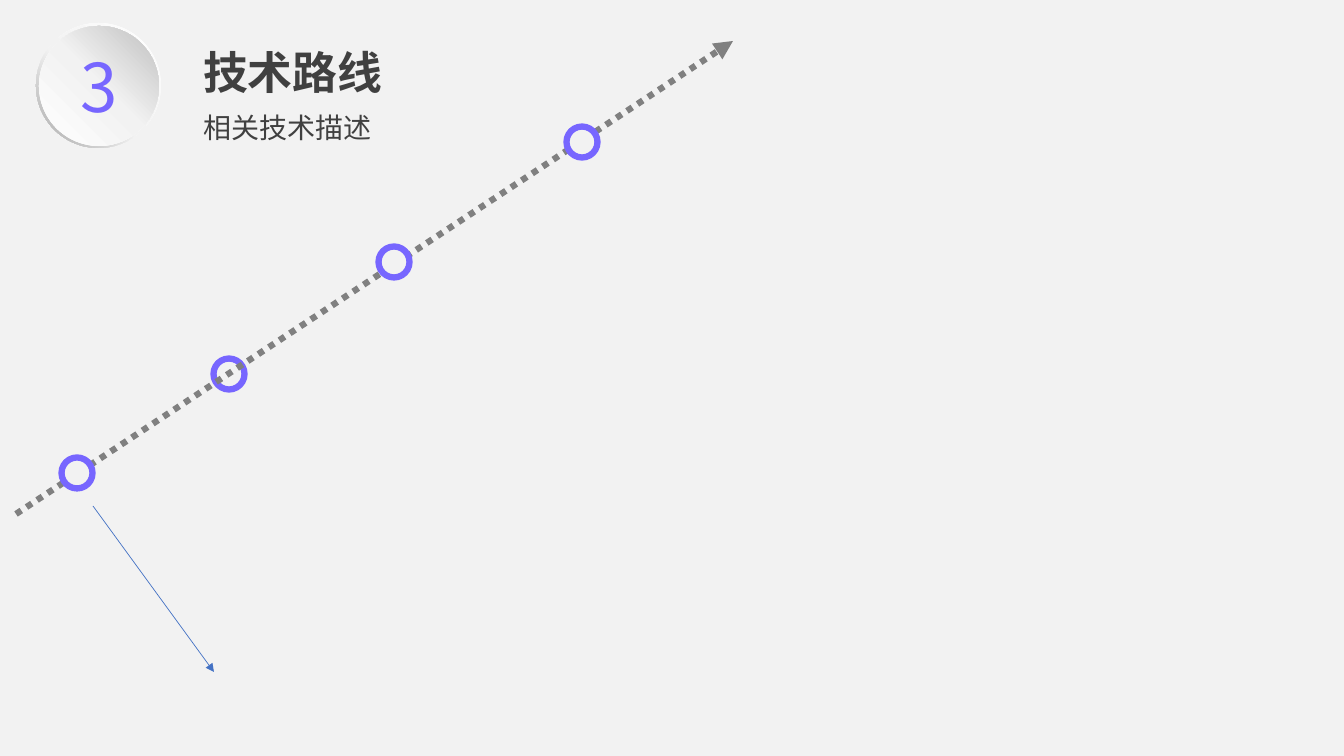
from copy import deepcopy

from lxml import etree
from pptx import Presentation
from pptx.dml.color import RGBColor
from pptx.enum import dml, shapes, text
from pptx.oxml.ns import qn
from pptx.util import Pt

# Content: boxes are left, top, width, height in pixels
COLORS = {"page": "F2F2F2", "accent": "7766FF", "text": "404040",
          "route": "808080", "pointer": "4472C4"}
CJK = "Noto Sans CJK SC"
TITLE = ("技术路线", (193, 40, 202, 65), 32, "Arial", "text", True)
SUBTITLE = ("相关技术描述", (193, 105, 285, 44), 20, CJK, "text", False)
NUMBER = ("3", (71, 40, 48, 92), 48, CJK, "accent", False)
BADGE = [  # preset, left, top, size, angle, gradient stops
    (shapes.MSO_SHAPE.DONUT, 36, 23, 125, 225,
     [(0, "FFFFFF"), (55, "F2F2F2"), (100, "A6A6A6")]),
    (shapes.MSO_SHAPE.OVAL, 39, 26, 120, 45,
     [(0, "FFFFFF"), (51, "F2F2F2"), (100, "BFBFBF")]),
]
MILESTONES = [(77, 473), (394, 262), (582, 142)]
MILESTONE_BEHIND = (229, 374)
MILESTONE_SIZE = 31
ROUTE = ((16, 514), (733, 41))
POINTER = ((93, 506), (214, 672))

PX = 914400 / 100.8


def emu(*pixels):
    return [round(value * PX) for value in pixels]


def color(name):
    return RGBColor.from_string(COLORS[name])


def write(box, words, place, size, font, tone, bold):
    box.left, box.top, box.width, box.height = emu(*place)
    frame = box.text_frame
    frame.text = words
    frame.word_wrap = True
    frame.auto_size = text.MSO_AUTO_SIZE.NONE
    frame.vertical_anchor = text.MSO_ANCHOR.TOP
    para = frame.paragraphs[0]
    para.alignment = text.PP_ALIGN.LEFT
    para.space_before = Pt(0)
    span = para.runs[0]
    span.font.size, span.font.name, span.font.bold = Pt(size), font, bold
    span.font.color.rgb = color(tone)
    etree.SubElement(span._r.get_or_add_rPr(), qn("a:ea"), typeface=CJK)


def add_milestone(center):
    x, y = center
    half = MILESTONE_SIZE / 2
    ring = page.shapes.add_shape(
        shapes.MSO_SHAPE.OVAL,
        *emu(x - half, y - half, MILESTONE_SIZE, MILESTONE_SIZE))
    ring.shadow.inherit = False
    ring.fill.solid()
    ring.fill.fore_color.rgb = color("page")
    ring.line.color.rgb = color("accent")
    ring.line.width = Pt(4.5)


def add_arrow(ends, tone, width, dash=None):
    arrow = page.shapes.add_connector(
        shapes.MSO_CONNECTOR.STRAIGHT, *emu(*ends[0], *ends[1]))
    arrow.line.color.rgb = color(tone)
    arrow.line.width = Pt(width)
    if dash:
        arrow.line.dash_style = dash
    properties = arrow._element.spPr
    etree.SubElement(properties.find(qn("a:ln")), qn("a:tailEnd"), type="triangle")
    etree.SubElement(properties, qn("a:effectLst"))


def add_disc(preset, left, top, size, angle, stops):
    disc = badge.shapes.add_shape(preset, *emu(left, top, size, size))
    disc.shadow.inherit = False
    disc.line.fill.background()
    if preset == shapes.MSO_SHAPE.DONUT:
        disc.adjustments[0] = 0.05
    disc.fill.gradient()
    disc.fill.gradient_angle = angle
    stop_list = disc._element.spPr.find(".//" + qn("a:gsLst"))
    stop_list.append(deepcopy(stop_list[-1]))
    for stop, (position, tone) in zip(disc.fill.gradient_stops, stops):
        stop.position = position / 100
        stop.color.rgb = RGBColor.from_string(tone)


# Page
deck = Presentation()
deck.slide_width, deck.slide_height = emu(1344, 756)
page = deck.slides.add_slide(deck.slide_layouts[0])
page.background.fill.solid()
page.background.fill.fore_color.rgb = color("page")

# Heading
write(page.shapes.title, *TITLE)
write(page.placeholders[1], *SUBTITLE)

# Number badge
badge = page.shapes.add_group_shape()
for layer in BADGE:
    add_disc(*layer)
write(page.shapes.add_textbox(0, 0, 0, 0), *NUMBER)

# Route: one milestone lies under the dotted line, the others on top
add_milestone(MILESTONE_BEHIND)
add_arrow(ROUTE, "route", 4.5, dml.MSO_LINE.ROUND_DOT)
for milestone in MILESTONES:
    add_milestone(milestone)
add_arrow(POINTER, "pointer", 0.5)

deck.save("out.pptx")
